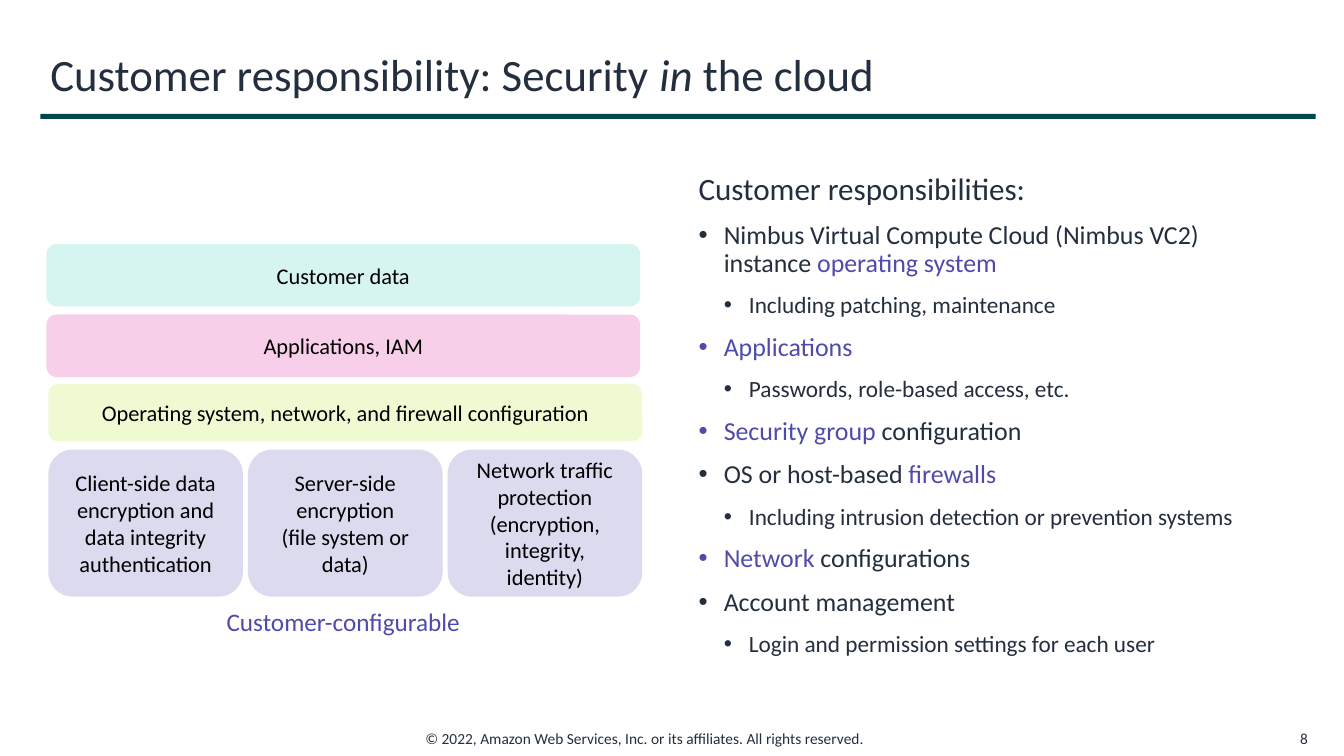
from dataclasses import dataclass

from lxml import etree
from pptx import Presentation
from pptx.dml.color import RGBColor
from pptx.enum.shapes import MSO_SHAPE
from pptx.enum.text import MSO_ANCHOR, PP_ALIGN
from pptx.oxml.ns import qn
from pptx.util import Inches, Pt

RECTANGLE = MSO_SHAPE.RECTANGLE
ROUNDED = MSO_SHAPE.ROUNDED_RECTANGLE
TOP, MIDDLE = MSO_ANCHOR.TOP, MSO_ANCHOR.MIDDLE
LEFT, CENTER, RIGHT = PP_ALIGN.LEFT, PP_ALIGN.CENTER, PP_ALIGN.RIGHT


@dataclass(frozen=True)
class Theme:
    """Colours, font and type sizes of the slide."""
    font: str = "Calibri"
    ink: str = "232F3E"
    accent: str = "504BAB"
    black: str = "000000"
    rule: str = "00464F"
    data: str = "D6F4F0"
    applications: str = "F7CFE8"
    system: str = "EFFAD3"
    encryption: str = "DBDAEF"
    title_size: float = 32
    heading_size: float = 22.2
    bullet_size: float = 18.5
    caption_size: float = 18
    detail_size: float = 16.6
    box_size: float = 16
    footer_size: float = 11


THEME = Theme()

RESPONSIBILITIES = [
    (0, [("Nimbus Virtual Compute Cloud (Nimbus VC2) instance ", THEME.ink),
         ("operating system", THEME.accent)]),
    (1, [("Including patching, maintenance", THEME.ink)]),
    (0, [("Applications", THEME.accent)]),
    (1, [("Passwords, role-based access, etc.", THEME.ink)]),
    (0, [("Security group ", THEME.accent), ("configuration", THEME.ink)]),
    (0, [("OS or host-based ", THEME.ink), ("firewalls", THEME.accent)]),
    (1, [("Including intrusion detection or prevention systems", THEME.ink)]),
    (0, [("Network", THEME.accent), (" configurations", THEME.ink)]),
    (0, [("Account management", THEME.ink)]),
    (1, [("Login and permission settings for each user", THEME.ink)]),
]

LAYERS = [
    (0.46, 2.42, 0.62, THEME.data, "Customer data"),
    (0.46, 3.12, 0.62, THEME.applications, "Applications, IAM"),
    (0.48, 3.81, 0.57, THEME.system,
     "Operating system, network, and firewall configuration"),
]

PROTECTIONS = [
    ("Client-side data", "encryption and data integrity authentication"),
    ("Server-side encryption", "(file system or data)"),
    ("Network traffic protection", "(encryption, integrity, identity)"),
]


def add_run(paragraph, text, *, size, color=THEME.ink, italic=False):
    """Append one formatted run to a paragraph."""
    run = paragraph.add_run()
    run.text = text
    run.font.name = THEME.font
    run.font.size = Pt(size)
    run.font.italic = italic
    run.font.color.rgb = RGBColor.from_string(color)


def add_bullet(paragraph, level):
    """Give a paragraph a hanging bullet at an indent level."""
    paragraph.level = level
    properties = paragraph._p.get_or_add_pPr()
    properties.set("marL", str(Inches(0.25 * (level + 1))))
    properties.set("indent", str(Inches(-0.25)))
    etree.SubElement(properties, qn("a:buFont")).set("typeface", "Arial")
    etree.SubElement(properties, qn("a:buChar")).set("char", "•")


def add_text(slide, text, left, top, width, height, *, size, color=THEME.ink,
             align=LEFT, anchor=TOP, wrap=True):
    """Add a text box with one formatted run and return its first paragraph."""
    box = slide.shapes.add_textbox(
        Inches(left), Inches(top), Inches(width), Inches(height))
    box.text_frame.word_wrap = wrap
    box.text_frame.vertical_anchor = anchor
    paragraph = box.text_frame.paragraphs[0]
    paragraph.alignment = align
    add_run(paragraph, text, size=size, color=color)
    return box.text_frame, paragraph


def add_box(slide, kind, left, top, width, height, fill, lines=()):
    """Add a filled shape with centred lines of text."""
    shape = slide.shapes.add_shape(
        kind, Inches(left), Inches(top), Inches(width), Inches(height))
    shape.shadow.inherit = False
    shape.fill.solid()
    shape.fill.fore_color.rgb = RGBColor.from_string(fill)
    shape.line.fill.background()
    frame = shape.text_frame
    frame.word_wrap = True
    frame.vertical_anchor = MIDDLE
    for index, line in enumerate(lines):
        paragraph = frame.add_paragraph() if index else frame.paragraphs[0]
        paragraph.alignment = CENTER
        add_run(paragraph, line, size=THEME.box_size, color=THEME.black)


def add_title(slide):
    """Add the title with its emphasised word and the rule below it."""
    _, title = add_text(slide, "Customer responsibility: Security ",
                        0.4, 0.33, 12.65, 0.8,
                        size=THEME.title_size, anchor=MIDDLE)
    add_run(title, "in ", size=THEME.title_size, italic=True)
    add_run(title, "the cloud", size=THEME.title_size)
    add_box(slide, RECTANGLE, 0.4, 1.13, 12.65, 0.05, THEME.rule)


def add_stack(slide):
    """Add the layers, the protection boxes and their caption."""
    for left, top, height, fill, label in LAYERS:
        add_box(slide, ROUNDED, left, top, 5.89, height, fill, [label])
    for column, lines in enumerate(PROTECTIONS):
        add_box(slide, ROUNDED, 0.48 + 1.98 * column, 4.46, 1.93, 1.46,
                THEME.encryption, lines)
    add_text(slide, "Customer-configurable", 1.32, 5.97, 4.17, 0.38,
             size=THEME.caption_size, color=THEME.accent, align=CENTER)


def add_responsibilities(slide):
    """Add the heading and the two-level list of responsibilities."""
    frame, heading = add_text(slide, "Customer responsibilities:",
                              6.83, 1.67, 6.02, 5.08, size=THEME.heading_size)
    heading.line_spacing = 0.9
    heading.space_after = Pt(6)
    for level, runs in RESPONSIBILITIES:
        paragraph = frame.add_paragraph()
        paragraph.line_spacing = 0.9
        paragraph.space_before = Pt(5)
        paragraph.space_after = Pt(6)
        add_bullet(paragraph, level)
        size = THEME.detail_size if level else THEME.bullet_size
        for text, color in runs:
            add_run(paragraph, text, size=size, color=color)


def add_footer(slide):
    """Add the copyright line and the slide number."""
    add_text(slide, "© 2022, Amazon Web Services, Inc. or its affiliates. "
             "All rights reserved.", 4.12, 7.18, 5.09, 0.29,
             size=THEME.footer_size, wrap=False)
    add_text(slide, "8", 12.54, 7.18, 0.53, 0.29,
             size=THEME.footer_size, align=RIGHT, anchor=MIDDLE)


def main():
    """Build the slide and save the presentation."""
    presentation = Presentation()
    presentation.slide_width = Inches(13.33)
    presentation.slide_height = Inches(7.5)
    slide = presentation.slides.add_slide(presentation.slide_layouts[6])
    add_title(slide)
    add_stack(slide)
    add_responsibilities(slide)
    add_footer(slide)
    presentation.save("out.pptx")


if __name__ == "__main__":
    main()
